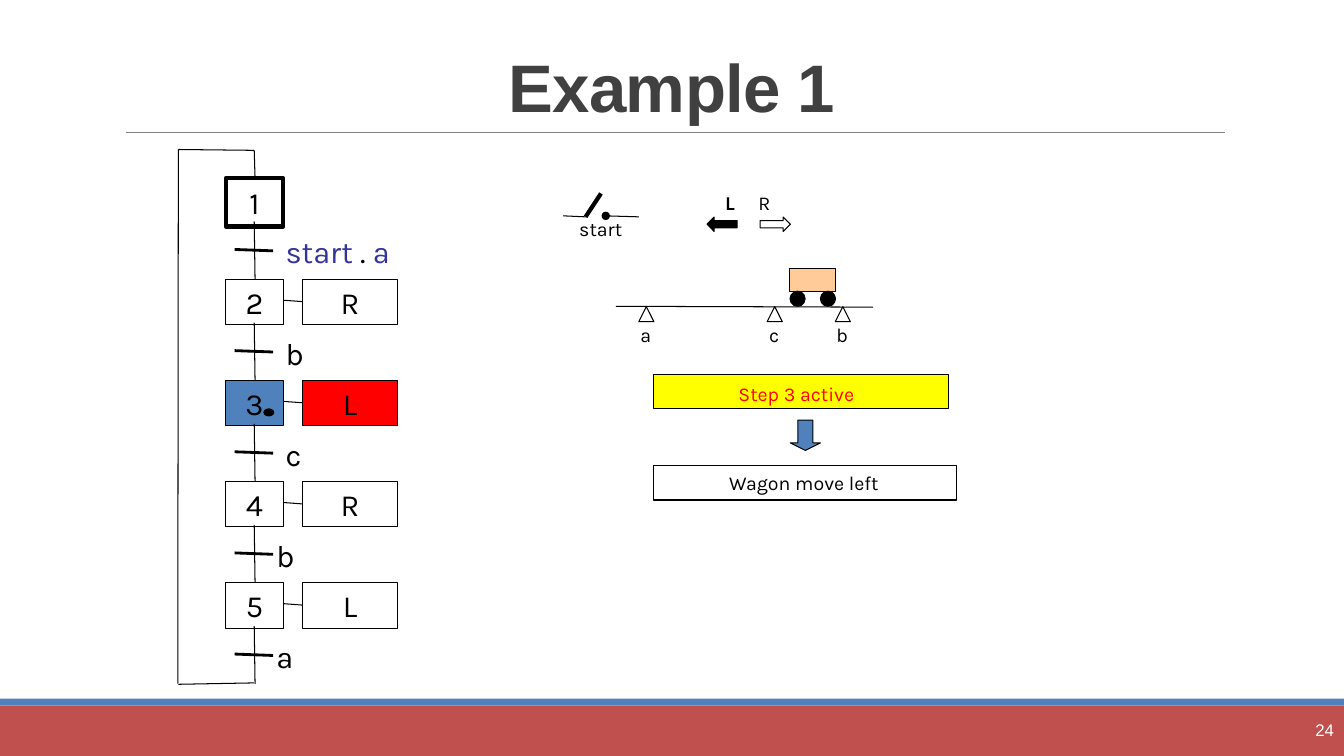
"""Build a slide with a sequential function chart and the wagon it controls."""
import pptx
import pptx.dml.color
import pptx.enum.shapes
import pptx.enum.text
import pptx.oxml
import pptx.oxml.ns
import pptx.util

Pt = pptx.util.Pt
SHAPE = pptx.enum.shapes.MSO_SHAPE
ALIGN = pptx.enum.text.PP_ALIGN
ANCHOR = pptx.enum.text.MSO_ANCHOR
COLORS = {
    "black": "000000", "white": "FFFFFF", "title": "404040", "rule": "808080",
    "blue": "4F81BD", "brick": "C0504D", "red": "FF0000", "yellow": "FFFF00",
    "wagon": "FFCC99", "navy": "333399",
}
STEPS = [
    ("1", None, [("start ", "navy"), (". ", "black"), ("a", "navy")], 77),
    ("2", "R", [("b", "black")], 77),
    ("3", "L", [("c", "black")], 77),
    ("4", "R", [("b", "black")], 70.5),
    ("5", "L", [("a", "black")], 70.5),
]
ACTIVE_STEP = "3"
STEP_PITCH = 72.25


def rgb(name):
    """Return the named colour."""
    return pptx.dml.color.RGBColor.from_string(COLORS[name])


def write(shape, runs, size, align=ALIGN.CENTER, font="Karla", spacing=None):
    """Write one paragraph of (text, colour) runs into a shape without margins."""
    frame = shape.text_frame
    frame.word_wrap = True
    frame.margin_left = frame.margin_right = frame.margin_top = frame.margin_bottom = 0
    paragraph = frame.paragraphs[0]
    paragraph.alignment = align
    paragraph.font.size = Pt(size)
    paragraph.font.name = font
    if spacing:
        paragraph.line_spacing = spacing
    for text, color in runs:
        run = paragraph.add_run()
        run.text = text
        run.font.color.rgb = rgb(color)
    return paragraph


def add_label(shapes, runs, left, top, width, height, size=14, align=ALIGN.CENTER):
    """Add a text box with tight line spacing."""
    box = shapes.add_textbox(Pt(left), Pt(top), Pt(width), Pt(height))
    return write(box, runs, size, align, spacing=Pt(26.1 if size == 22 else 17.1))


def add_figure(shapes, kind, left, top, width, height, fill=None, line=0.75):
    """Add a preset shape with a black outline, or none when line is 0."""
    shape = shapes.add_shape(kind, Pt(left), Pt(top), Pt(width), Pt(height))
    shape.shadow.inherit = False
    if fill:
        shape.fill.solid()
        shape.fill.fore_color.rgb = rgb(fill)
    else:
        shape.fill.background()
    if line:
        shape.line.color.rgb = rgb("black")
        shape.line.width = Pt(line)
    else:
        shape.line.fill.background()
    return shape


def add_line(shapes, x1, y1, x2, y2, weight=0.75, color="black"):
    """Add a straight line without shadow."""
    line = shapes.add_connector(pptx.enum.shapes.MSO_CONNECTOR.STRAIGHT,
                                Pt(x1), Pt(y1), Pt(x2), Pt(y2))
    line.line.color.rgb = rgb(color)
    line.line.width = Pt(weight)
    line._element.spPr.append(pptx.oxml.parse_xml(
        "<a:effectLst %s/>" % pptx.oxml.ns.nsdecls("a")))
    return line


def add_frame(slide, left, top, width, height):
    """Add the footer bands, title, rule and slide number."""
    shapes = slide.shapes
    add_figure(shapes, SHAPE.RECTANGLE, left, top + height - 36, width, 36, "brick", 0)
    add_figure(shapes, SHAPE.RECTANGLE, left, top + height - 41, width, 5, "blue", 0)
    add_line(shapes, left + 90, top + 94.5, left + 875, top + 94.5, 0.5, "rule")

    title = shapes.add_textbox(Pt(left + 84), Pt(top + 12), Pt(792), Pt(82))
    paragraph = write(title, [("Example 1", "title")], 48, font="Arial", spacing=0.85)
    paragraph.font.bold = True
    paragraph.runs[0]._r.get_or_add_rPr().set("spc", "-50")
    title.text_frame.vertical_anchor = ANCHOR.BOTTOM
    title.text_frame.margin_bottom = Pt(3.6)

    number = shapes.add_textbox(Pt(left + width - 103), Pt(top + 507), Pt(103), Pt(29))
    write(number, [("24", "white")], 12, ALIGN.RIGHT, "Arial")
    number.text_frame.vertical_anchor = ANCHOR.MIDDLE
    number.text_frame.margin_right = Pt(7.2)


def add_step(shapes, left, top, name, action, condition, label_left):
    """Add one step with its action and the transition below it."""
    active = name == ACTIVE_STEP
    initial = action is None
    axis = left + 54.6
    step = add_figure(shapes, SHAPE.RECTANGLE, left + 34.3, top, 41,
                      34.6 if initial else 32.4,
                      "blue" if active else None, 3 if initial else 0.75)
    write(step, [(name, "black")], 22, spacing=Pt(26.1))
    if action:
        add_line(shapes, left + 75.3, top + 15, left + 89, top + 16)
        box = add_figure(shapes, SHAPE.RECTANGLE, left + 89, top, 68, 32.4,
                         "red" if active else None)
        write(box, [(action, "black")], 22, spacing=Pt(26.1))
    if active:
        add_figure(shapes, SHAPE.OVAL, left + 61.5, top + 20.4, 7, 5, "black")
    add_line(shapes, axis, top + 31, axis + 0.6, top + STEP_PITCH)
    add_line(shapes, axis - 14, top + 51, axis + 13.5, top + 52, 2)
    add_label(shapes, condition, left + label_left, top + 39.6, 91, 26.1, 22, ALIGN.LEFT)


def add_function_chart(slide, left, top, height):
    """Add the column of steps and the line that loops back to the first."""
    shapes = slide.shapes.add_group_shape().shapes
    axis, bottom = left + 54.6, top + height
    add_line(shapes, axis, bottom - 1, left + 0.4, bottom)
    add_line(shapes, left, bottom - 0.5, left + 0.4, top)
    add_line(shapes, left + 0.4, top, axis, top + 0.6)
    add_line(shapes, axis, top + 0.6, axis + 0.6, top + 20.4)
    for index, step in enumerate(STEPS):
        add_step(shapes, left, top + 20.4 + index * STEP_PITCH, *step)


def add_switch(slide, left, top):
    """Add the open start contact."""
    shapes = slide.shapes
    add_line(shapes, left, top + 16, left + 16, top + 16.7)
    add_line(shapes, left + 16, top + 16.7, left + 27, top, 3)
    contact = add_line(shapes, left + 30.4, top + 16, left + 54, top + 16.7)
    contact.line._get_or_add_ln().append(pptx.oxml.parse_xml(
        '<a:headEnd type="oval" %s/>' % pptx.oxml.ns.nsdecls("a")))
    add_label(shapes, [("start", "black")], left + 2.3, top + 16.7, 49, 17.1)


def add_directions(slide, left, top):
    """Add the left and right arrows with the left one switched on."""
    arrows = [("L", SHAPE.LEFT_ARROW, 0, 6, "black"), ("R", SHAPE.RIGHT_ARROW, 38, 30.5, None)]
    for name, kind, offset, label_offset, fill in arrows:
        add_figure(slide.shapes, kind, left + offset, top + 19, 21.6, 10.3, fill)
        label = add_label(slide.shapes, [(name, "black")], left + label_offset, top, 21, 17.1)
        label.font.bold = name == "L"


def add_track(slide, left, top):
    """Add the wagon on its track with the three position sensors."""
    add_line(slide.shapes, left, top + 26.8, left + 183.6, top + 27.4)
    wagon = slide.shapes.add_group_shape().shapes
    add_figure(wagon, SHAPE.RECTANGLE, left + 124.3, top, 32.6, 16, "wagon")
    for offset in (124.3, 146):
        add_figure(wagon, SHAPE.OVAL, left + offset, top + 16, 10.8, 10.8, "black")
    for name, offset in (("a", 21.7), ("c", 113.4), ("b", 162)):
        add_figure(slide.shapes, SHAPE.ISOSCELES_TRIANGLE, left + offset - 5.4, top + 27,
                   10.8, 10.8)
        add_label(slide.shapes, [(name, "black")], left + offset - 14, top + 38.2, 27, 17.1)


def add_outcome(slide, left, top):
    """Add the active step, an arrow and the resulting movement."""
    shapes = slide.shapes
    cause = add_figure(shapes, SHAPE.RECTANGLE, left, top, 210.7, 24, "yellow")
    write(cause, [("Step 3 active", "red")], 14, spacing=Pt(17.1))
    cause.text_frame.margin_right = Pt(7)
    cause.text_frame.margin_top = Pt(2)
    arrow = add_figure(shapes, SHAPE.DOWN_ARROW, left + 97.5, top + 32.5, 21.6, 21.6, "blue")
    arrow.adjustments[1] = 0.25
    effect = add_figure(shapes, SHAPE.RECTANGLE, left, top + 65, 216.5, 24.5)
    write(effect, [("Wagon move left", "black")], 14, spacing=Pt(17.1))
    effect.text_frame.margin_right = Pt(2)


def main():
    """Build and save the slide."""
    presentation = pptx.Presentation()
    presentation.slide_width, presentation.slide_height = Pt(960), Pt(540)
    slide = presentation.slides.add_slide(presentation.slide_layouts[6])
    add_frame(slide, 0, 0, 960, 540)
    add_function_chart(slide, 127, 106.8, 382)
    add_switch(slide, 402.3, 138.2)
    add_directions(slide, 505, 136)
    add_track(slide, 440, 192)
    add_outcome(slide, 467, 267.7)
    presentation.save("out.pptx")


if __name__ == "__main__":
    main()
